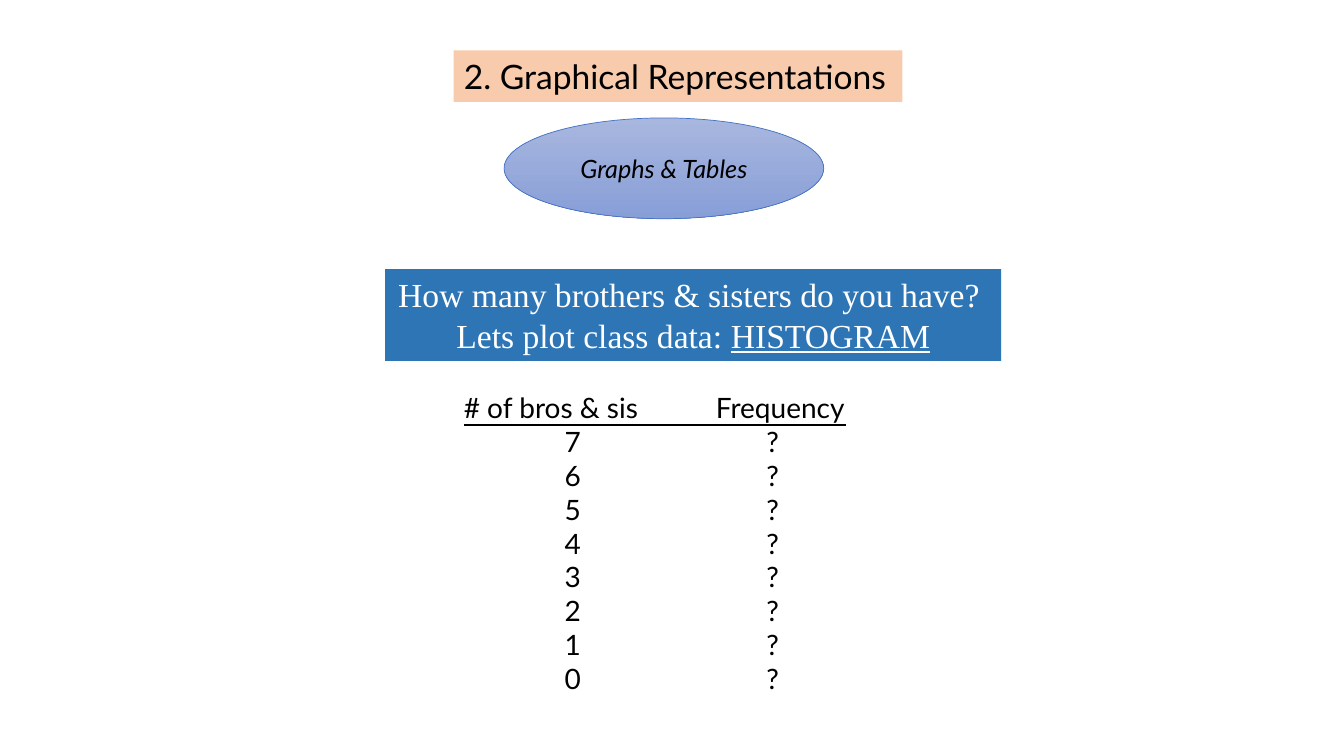
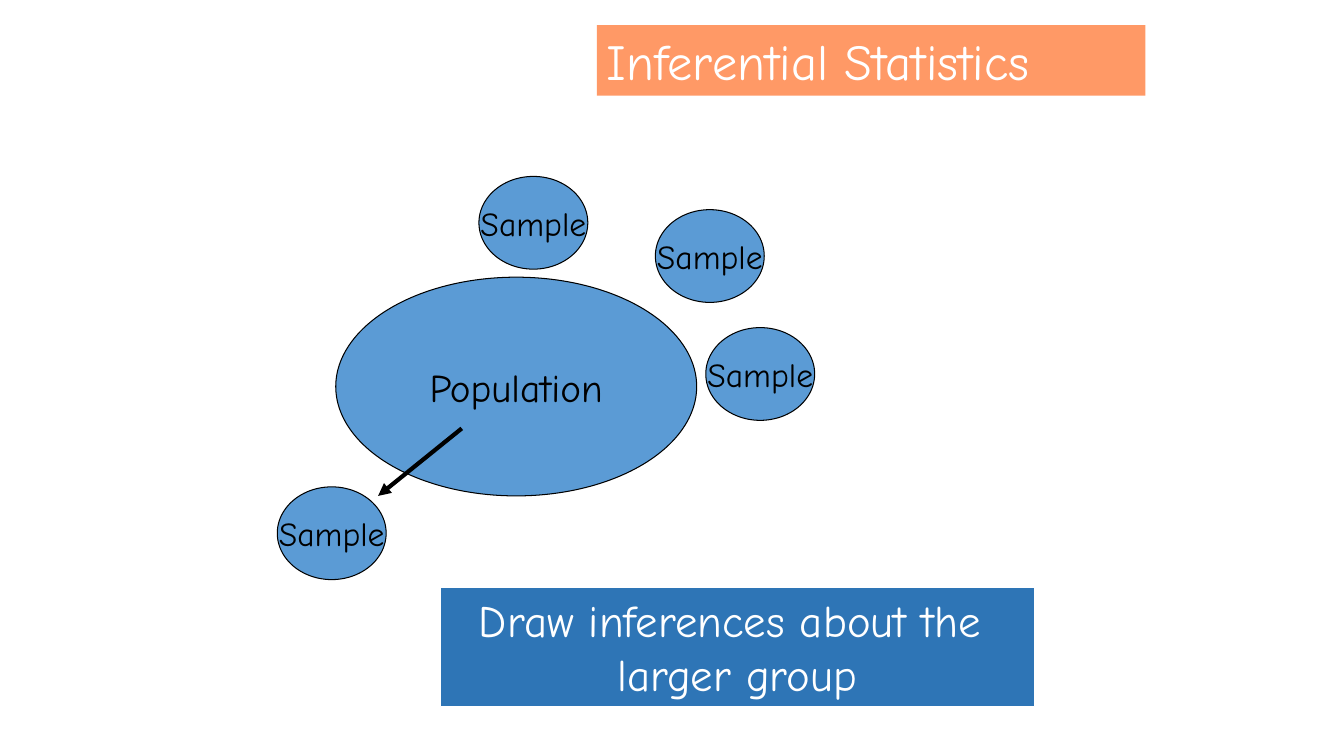
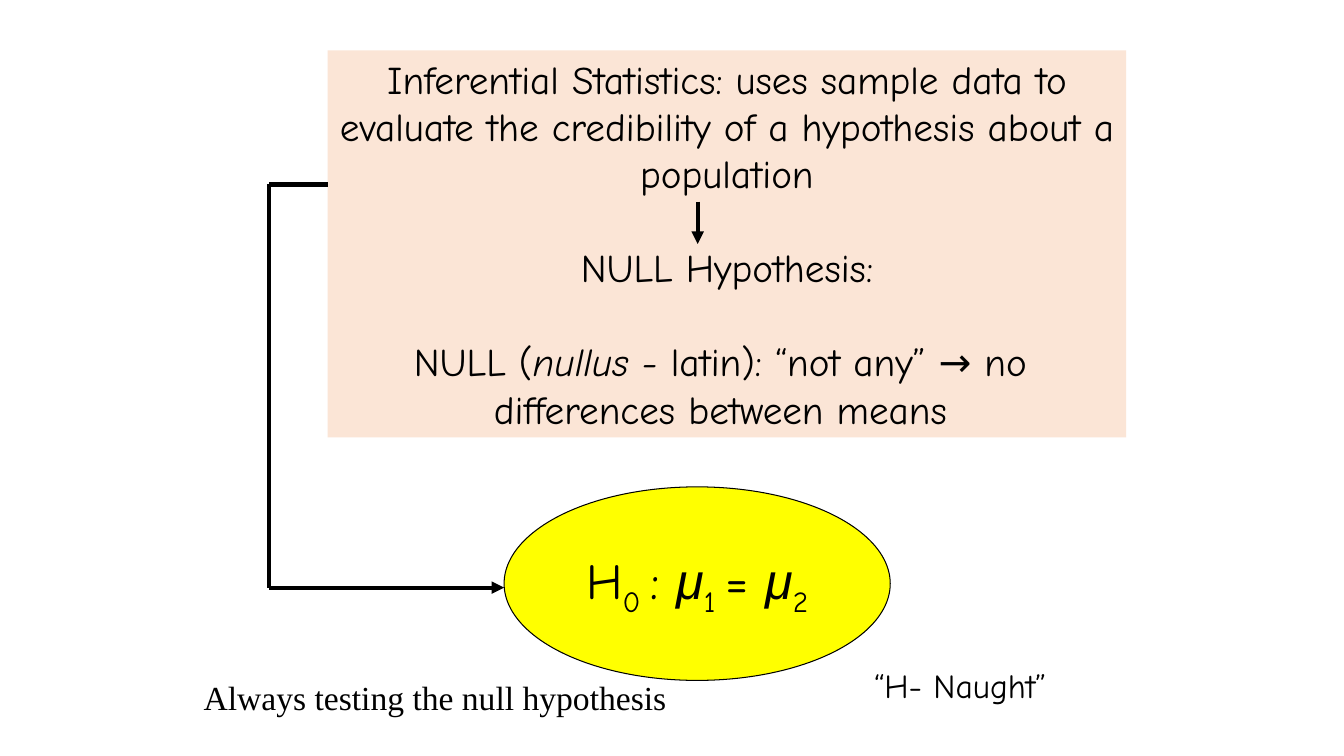
from dataclasses import dataclass, field
from typing import Any

from lxml import etree
from pptx import Presentation
from pptx.dml.color import RGBColor
from pptx.enum.shapes import MSO_CONNECTOR, MSO_SHAPE
from pptx.enum.text import MSO_ANCHOR, MSO_AUTO_SIZE, PP_ALIGN
from pptx.oxml.ns import qn
from pptx.util import Emu, Pt

RECT, OVAL = MSO_SHAPE.RECTANGLE, MSO_SHAPE.OVAL
STRAIGHT = MSO_CONNECTOR.STRAIGHT
LEFT, CENTER = PP_ALIGN.LEFT, PP_ALIGN.CENTER
TOP, MIDDLE = MSO_ANCHOR.TOP, MSO_ANCHOR.MIDDLE
FIXED = MSO_AUTO_SIZE.NONE

EMU_PER_PX = 9144
SLIDE_W, SLIDE_H = 1333, 750
TITLE_ONLY, TITLE_AND_BODY = 5, 1
PLAIN_TABLE = "{2D5ABB26-0587-4C30-8999-92F81FD0307C}"
LATO, COMIC, TIMES, ARIAL = "Lato", "Comic Neue", "Times New Roman", "Arial"

COLORS = {
    "black": "000000",
    "white": "FFFFFF",
    "peach": "F8CBAD",
    "pale_peach": "FBE5D6",
    "orange": "FF9966",
    "banner": "2E75B6",
    "circle": "5B9BD5",
    "yellow": "FFFF00",
    "grad_top": "A8B7DF",
    "grad_bottom": "889ED7",
    "grad_line": "4472C4",
}

Box = tuple[int, int, int, int]
Point = tuple[int, int]


@dataclass(frozen=True)
class Run:
    text: str
    fmt: dict[str, Any] = field(default_factory=dict)
    baseline: int = 0


@dataclass(frozen=True)
class Para:
    runs: tuple[Run, ...]
    before: float = 0


@dataclass(frozen=True)
class Style:
    font: str
    size: int
    color: str = "black"
    align: PP_ALIGN = CENTER
    anchor: MSO_ANCHOR = TOP
    wrap: bool = True


@dataclass(frozen=True)
class Look:
    fill: str | None = None
    line: str | None = None
    weight: float = 0.75


def px(n: int) -> Emu:
    return Emu(n * EMU_PER_PX)


def rgb(name: str) -> RGBColor:
    return RGBColor.from_string(COLORS[name])


def para(text: str, before: float = 0) -> Para:
    return Para((Run(text),), before)


def set_attrs(obj: Any, values: dict[str, Any]) -> None:
    for name, value in values.items():
        setattr(obj, name, value)


def place(sp: Any, box: Box) -> None:
    set_attrs(sp, dict(zip(("left", "top", "width", "height"), map(px, box))))


def paint(sp: Any, look: Look) -> None:
    if look.fill:
        sp.fill.solid()
        sp.fill.fore_color.rgb = rgb(look.fill)
    if look.line:
        sp.line.color.rgb = rgb(look.line)
        sp.line.width = Pt(look.weight)
    else:
        sp.line.fill.background()


def write(tf: Any, paras: list[Para], style: Style) -> None:
    set_attrs(tf, {"word_wrap": style.wrap, "auto_size": FIXED, "vertical_anchor": style.anchor})
    for i, item in enumerate(paras):
        p = tf.paragraphs[0] if i == 0 else tf.add_paragraph()
        pPr = p._p.get_or_add_pPr()
        pPr.set("marL", "0")
        pPr.set("indent", "0")
        etree.SubElement(pPr, qn("a:buNone"))
        set_attrs(p, {"alignment": style.align, "space_before": Pt(item.before)})
        for run in item.runs:
            r = p.add_run()
            r.text = run.text
            set_attrs(r.font, {"name": style.font, "size": Pt(style.size), **run.fmt})
            r.font.color.rgb = rgb(style.color)
            if run.baseline:
                r._r.get_or_add_rPr().set("baseline", str(run.baseline))


def fill_placeholder(sp: Any, box: Box, paras: list[Para], style: Style, look: Look) -> None:
    place(sp, box)
    paint(sp, look)
    write(sp.text_frame, paras, style)


def add_box(s: Any, kind: MSO_SHAPE, box: Box, paras: list[Para], style: Style, look: Look) -> Any:
    sp = s.shapes.add_shape(kind, *map(px, box))
    sp.shadow.inherit = False
    paint(sp, look)
    write(sp.text_frame, paras, style)
    return sp


def add_label(s: Any, box: Box, text: str, style: Style) -> None:
    write(s.shapes.add_textbox(*map(px, box)).text_frame, [para(text)], style)


def add_line(s: Any, start: Point, end: Point, arrow: bool = True) -> None:
    cxn = s.shapes.add_connector(STRAIGHT, *map(px, start + end))
    cxn.line.color.rgb = rgb("black")
    cxn.line.width = Pt(3)
    if arrow:
        etree.SubElement(cxn.line._get_or_add_ln(), qn("a:tailEnd"), type="triangle")
    etree.SubElement(cxn._element.spPr, qn("a:effectLst"))


def add_frequency_table(s: Any) -> None:
    widths, indents, row_h = (250, 129), (100, 50), 33
    rows = [("# of bros & sis", "Frequency")] + [(str(n), "?") for n in range(7, -1, -1)]
    frame = s.shapes.add_table(len(rows), 2, px(460), px(388), px(sum(widths)), px(row_h * len(rows)))
    table = frame.table
    set_attrs(table, {"first_row": False, "horz_banding": False})
    table._tbl.tblPr.find(qn("a:tableStyleId")).text = PLAIN_TABLE
    for col, width in zip(table.columns, widths):
        col.width = px(width)
    for i, values in enumerate(rows):
        table.rows[i].height = px(row_h)
        for j, value in enumerate(values):
            cell = table.cell(i, j)
            set_attrs(cell, {
                "margin_left": px(indents[j] if i else 0),
                "margin_right": 0,
                "margin_top": 0,
                "margin_bottom": 0,
            })
            cell.fill.background()
            write(cell.text_frame, [para(value)], Style(LATO, 20, align=LEFT))
            if i == 0:
                add_bottom_border(cell)


def add_bottom_border(cell: Any) -> None:
    ln = etree.Element(qn("a:lnB"), w=str(Pt(1)))
    solid = etree.SubElement(ln, qn("a:solidFill"))
    etree.SubElement(solid, qn("a:srgbClr"), val=COLORS["black"])
    cell._tc.get_or_add_tcPr().insert(0, ln)


def build_graphs(prs: Any) -> None:
    s = prs.slides.add_slide(prs.slide_layouts[TITLE_ONLY])
    fill_placeholder(s.shapes.title, (450, 50, 445, 51), [para("2. Graphical Representations")],
                     Style(LATO, 24, align=LEFT), Look("peach"))
    sp = add_box(s, OVAL, (500, 117, 317, 100), [Para((Run("Graphs & Tables", {"italic": True}),))],
                 Style(LATO, 18, anchor=MIDDLE, wrap=False), Look(line="grad_line", weight=0.5))
    sp.fill.gradient()
    sp.fill.gradient_angle = 270
    for stop, name in zip(sp.fill.gradient_stops, ("grad_top", "grad_bottom")):
        stop.color.rgb = rgb(name)
    question = [
        para("How many brothers & sisters do you have? "),
        Para((Run("Lets plot class data: "), Run("HISTOGRAM", {"underline": True}))),
    ]
    add_box(s, RECT, (382, 267, 611, 91), question, Style(TIMES, 24, "white"), Look("banner"))
    add_frequency_table(s)


def build_sampling(prs: Any) -> None:
    s = prs.slides.add_slide(prs.slide_layouts[TITLE_ONLY])
    fill_placeholder(s.shapes.title, (592, 25, 544, 70), [para("Inferential Statistics")],
                     Style(COMIC, 36, "white", LEFT), Look("orange"))
    look = Look("circle", "black")
    add_box(s, OVAL, (333, 275, 358, 217), [para("Population")],
            Style(COMIC, 28, anchor=MIDDLE, wrap=False), look)
    for left, top in ((275, 483), (475, 175), (700, 325), (650, 208)):
        add_box(s, OVAL, (left, top, 108, 92), [para("Sample")],
                Style(COMIC, 24, anchor=MIDDLE, wrap=False), look)
    add_line(s, (458, 425), (375, 492))
    add_box(s, RECT, (437, 583, 589, 118), [para("Draw inferences about the "), para("larger group")],
            Style(COMIC, 32, "white"), Look("banner", "white"))


def build_null_hypothesis(prs: Any) -> None:
    s = prs.slides.add_slide(prs.slide_layouts[TITLE_AND_BODY])
    title = s.shapes.title.element
    title.getparent().remove(title)
    gap = 33.6
    body = [
        para("Inferential Statistics: uses sample data to evaluate the credibility "
             "of a hypothesis about a population"),
        para("NULL Hypothesis:", gap),
        Para((Run("NULL ("), Run("nullus - ", {"italic": True}), Run("latin): “not any” → no ")), gap),
        para("differences between means "),
    ]
    fill_placeholder(s.placeholders[1], (325, 50, 792, 384), body, Style(COMIC, 28), Look("pale_peach"))
    mu = Run("μ", {"name": ARIAL, "italic": True})
    sub = -25000
    formula = Para((Run("H"), Run("0 ", baseline=sub), Run(": "), mu, Run("1 ", baseline=sub),
                    Run("= "), mu, Run("2", baseline=sub)))
    add_box(s, OVAL, (500, 483, 383, 192), [formula],
            Style(COMIC, 36, anchor=MIDDLE, wrap=False), Look("yellow", "black"))
    elbow = [(325, 183), (267, 183), (267, 583), (500, 583)]
    for start, end in zip(elbow, elbow[1:]):
        add_line(s, start, end, arrow=end == elbow[-1])
    add_line(s, (692, 200), (692, 242))
    add_label(s, (857, 655, 209, 50), "“H- Naught”", Style(COMIC, 24, align=LEFT, wrap=False))
    add_label(s, (192, 667, 479, 50), "Always testing the null hypothesis",
              Style(TIMES, 24, align=LEFT, wrap=False))


def main() -> None:
    prs = Presentation()
    set_attrs(prs, {"slide_width": px(SLIDE_W), "slide_height": px(SLIDE_H)})
    for build in (build_graphs, build_sampling, build_null_hypothesis):
        build(prs)
    prs.save("out.pptx")


if __name__ == "__main__":
    main()
